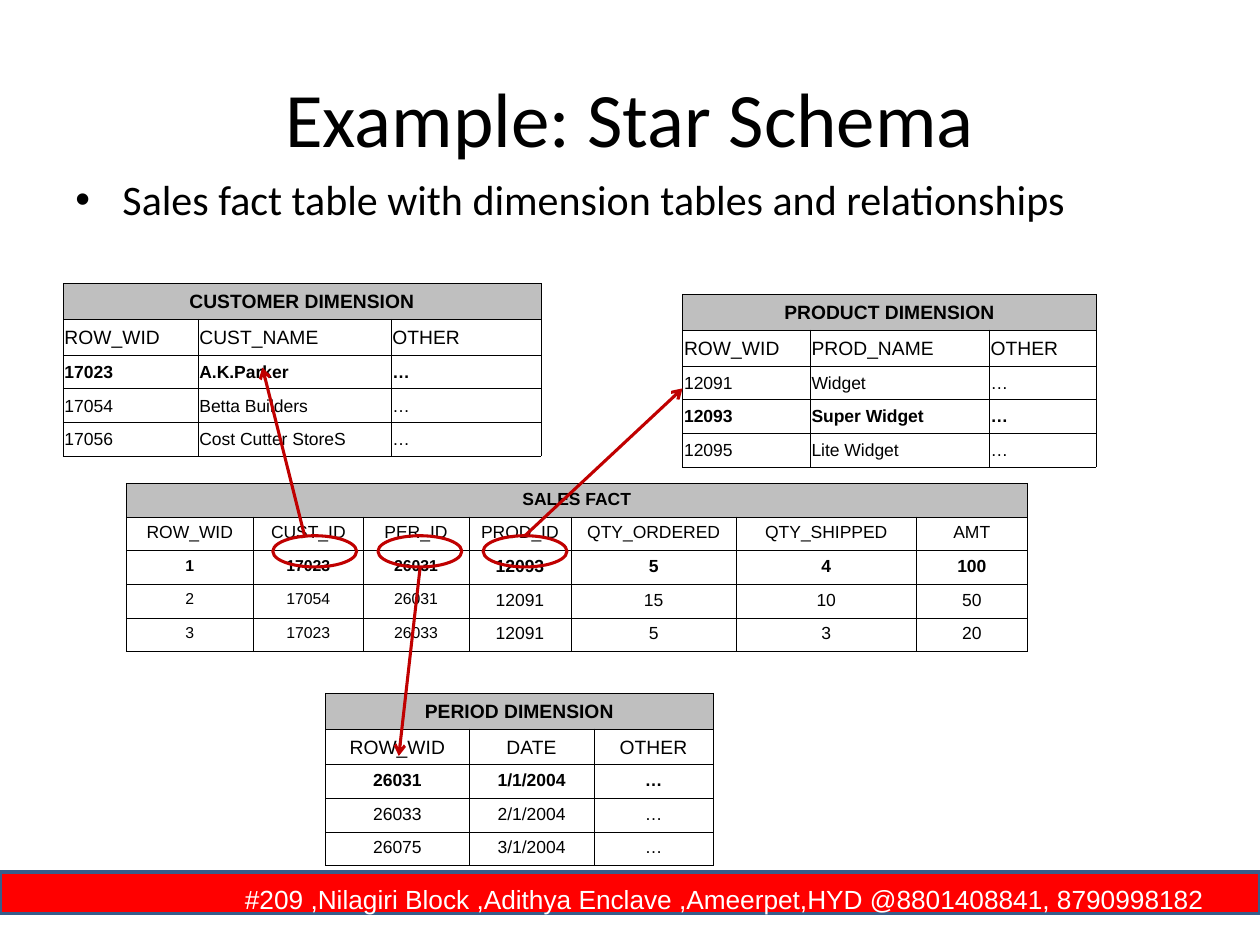
from dataclasses import dataclass

from lxml.etree import SubElement
from pptx import Presentation
from pptx.dml.color import RGBColor
from pptx.enum.shapes import MSO_CONNECTOR, MSO_SHAPE
from pptx.enum.text import MSO_ANCHOR, PP_ALIGN
from pptx.oxml.ns import qn
from pptx.util import Cm, Pt

BLACK = RGBColor(0x00, 0x00, 0x00)
WHITE = RGBColor(0xFF, 0xFF, 0xFF)
RED = RGBColor(0xFF, 0x00, 0x00)
NAVY = RGBColor(0x38, 0x5D, 0x8A)
DARK_RED = RGBColor(0xC0, 0x00, 0x00)
GRAY = RGBColor(0xBF, 0xBF, 0xBF)


@dataclass
class DataTable:
    title: str
    left: float
    top: float
    widths: list[float]
    row_height: float
    rows: list[list[str]]
    bold_row: int
    align: PP_ALIGN = PP_ALIGN.LEFT
    header_size: int = 11
    header_anchor: MSO_ANCHOR = MSO_ANCHOR.BOTTOM
    body_anchor: MSO_ANCHOR = MSO_ANCHOR.BOTTOM
    small_columns: int = 0


@dataclass
class Arrow:
    x1: float
    y1: float
    x2: float
    y2: float


TABLES = [
    DataTable("CUSTOMER DIMENSION", 1.27, 5.71, [2.72, 3.89, 3.02], 0.53, [
        ["ROW_WID", "CUST_NAME", "OTHER"],
        ["17023", "A.K.Parker", "…"],
        ["17054", "Betta Builders", "…"],
        ["17056", "Cost Cutter StoreS", "…"],
    ], bold_row=1),
    DataTable("PRODUCT DIMENSION", 13.76, 5.93, [2.57, 3.61, 2.16], 0.53, [
        ["ROW_WID", "PROD_NAME", "OTHER"],
        ["12091", "Widget", "…"],
        ["12093", "Super Widget", "…"],
        ["12095", "Lite Widget", "…"],
    ], bold_row=2),
    DataTable("SALES FACT", 2.54, 9.74, [2.57, 2.21, 2.13, 2.06, 3.33, 3.63, 2.24], 0.59, [
        ["ROW_WID", "CUST_ID", "PER_ID", "PROD_ID", "QTY_ORDERED", "QTY_SHIPPED", "AMT"],
        ["1", "17023", "26031", "12093", "5", "4", "100"],
        ["2", "17054", "26031", "12091", "15", "10", "50"],
        ["3", "17023", "26033", "12091", "5", "3", "20"],
    ], bold_row=1, align=PP_ALIGN.CENTER, header_size=10,
        header_anchor=MSO_ANCHOR.TOP, body_anchor=MSO_ANCHOR.TOP, small_columns=3),
    DataTable("PERIOD DIMENSION", 6.56, 13.97, [2.9, 2.51, 2.41], 0.59, [
        ["ROW_WID", "DATE", "OTHER"],
        ["26031", "1/1/2004", "…"],
        ["26033", "2/1/2004", "…"],
        ["26075", "3/1/2004", "…"],
    ], bold_row=1, align=PP_ALIGN.CENTER, body_anchor=MSO_ANCHOR.TOP),
]
KEY_LEFTS = [5.5, 7.62, 9.74]
ARROWS = [
    Arrow(10.58, 10.8, 13.76, 7.83),
    Arrow(8.47, 11.43, 8.04, 15.24),
    Arrow(6.14, 10.8, 5.29, 7.41),
]


def write(tf, text, *, size, font="Arial", color=BLACK, bold=False,
          align=PP_ALIGN.LEFT, bullet=False):
    p = tf.paragraphs[0]
    p.alignment = align
    if bullet:
        pPr = p._p.get_or_add_pPr()
        pPr.set("marL", str(Cm(0.95)))
        pPr.set("indent", str(-Cm(0.95)))
        SubElement(pPr, qn("a:buFont"), typeface="Arial")
        SubElement(pPr, qn("a:buChar"), char="•")
    r = p.add_run()
    r.text = text
    r.font.name = font
    r.font.size = Pt(size)
    r.font.bold = bold
    r.font.color.rgb = color


def add_text_box(s, left: float, top: float, width: float, height: float,
                 text: str, anchor: MSO_ANCHOR, **fmt) -> None:
    tf = s.shapes.add_textbox(Cm(left), Cm(top), Cm(width), Cm(height)).text_frame
    tf.word_wrap = True
    tf.vertical_anchor = anchor
    write(tf, text, **fmt)


def add_footer(s, text: str) -> None:
    sp = s.shapes.add_shape(MSO_SHAPE.RECTANGLE, 0, Cm(17.58), Cm(25.4), Cm(0.84))
    sp.shadow.inherit = False
    sp.fill.solid()
    sp.fill.fore_color.rgb = RED
    sp.line.color.rgb = NAVY
    sp.line.width = Pt(2)
    tf = sp.text_frame
    tf.word_wrap = True
    tf.vertical_anchor = MSO_ANCHOR.MIDDLE
    tf.margin_left = Cm(4.06)
    tf.margin_top = Cm(0.38)
    write(tf, text, size=15, color=WHITE, align=PP_ALIGN.CENTER)


def set_borders(cell) -> None:
    tcPr = cell._tc.get_or_add_tcPr()
    for side in ("lnL", "lnR", "lnT", "lnB"):
        ln = SubElement(tcPr, qn(f"a:{side}"), w=str(Pt(0.23)))
        fill = SubElement(ln, qn("a:solidFill"))
        SubElement(fill, qn("a:srgbClr"), val=str(BLACK))


def add_data_table(s, data: DataTable) -> None:
    n_rows, n_cols = len(data.rows) + 1, len(data.widths)
    table = s.shapes.add_table(
        n_rows, n_cols, Cm(data.left), Cm(data.top),
        Cm(sum(data.widths)), Cm(data.row_height * n_rows)).table
    table.first_row = table.horz_banding = False
    for column, width in zip(table.columns, data.widths):
        column.width = Cm(width)
    for row in table.rows:
        row.height = Cm(data.row_height)
    for cell in table.iter_cells():
        set_borders(cell)
        cell.fill.background()
        cell.margin_left = cell.margin_right = Cm(0.03)

    title = table.cell(0, 0)
    title.merge(table.cell(0, n_cols - 1))
    title.fill.solid()
    title.fill.fore_color.rgb = GRAY
    title.vertical_anchor = data.header_anchor
    write(title.text_frame, data.title, size=data.header_size, bold=True,
          align=PP_ALIGN.CENTER)

    for i, values in enumerate(data.rows):
        for j, value in enumerate(values):
            cell = table.cell(i + 1, j)
            cell.vertical_anchor = data.body_anchor if i else data.header_anchor
            body_size = 9 if j < data.small_columns else 10
            write(cell.text_frame, value, size=body_size if i else data.header_size,
                  bold=i == data.bold_row, align=data.align)


def add_key_ring(s, left: float) -> None:
    sp = s.shapes.add_shape(MSO_SHAPE.OVAL, Cm(left), Cm(10.8), Cm(1.69), Cm(0.63))
    sp.shadow.inherit = False
    sp.fill.background()
    sp.line.color.rgb = DARK_RED
    sp.line.width = Pt(1.75)


def add_arrow(s, arrow: Arrow) -> None:
    c = s.shapes.add_connector(MSO_CONNECTOR.STRAIGHT, Cm(arrow.x1), Cm(arrow.y1),
                               Cm(arrow.x2), Cm(arrow.y2))
    c.line.color.rgb = DARK_RED
    c.line.width = Pt(1.75)
    SubElement(c.line._get_or_add_ln(), qn("a:tailEnd"), type="arrow")
    SubElement(c._element.spPr, qn("a:effectLst"))


def main() -> None:
    prs = Presentation()
    prs.slide_width, prs.slide_height = Cm(25.4), Cm(19.05)
    s = prs.slides.add_slide(prs.slide_layouts[6])
    add_footer(s, "#209 ,Nilagiri Block ,Adithya Enclave ,Ameerpet,HYD @8801408841, 8790998182")
    add_text_box(s, 1.27, 0.76, 22.86, 3.18, "Example: Star Schema", MSO_ANCHOR.MIDDLE,
                 size=44, font="Calibri", align=PP_ALIGN.CENTER)
    add_text_box(s, 1.27, 3.38, 22.86, 13.64,
                 "Sales fact table with dimension tables and relationships",
                 MSO_ANCHOR.TOP, size=24, font="Calibri", bullet=True)
    for data in TABLES:
        add_data_table(s, data)
    for left in KEY_LEFTS:
        add_key_ring(s, left)
    for arrow in ARROWS:
        add_arrow(s, arrow)
    prs.save("out.pptx")


if __name__ == "__main__":
    main()
